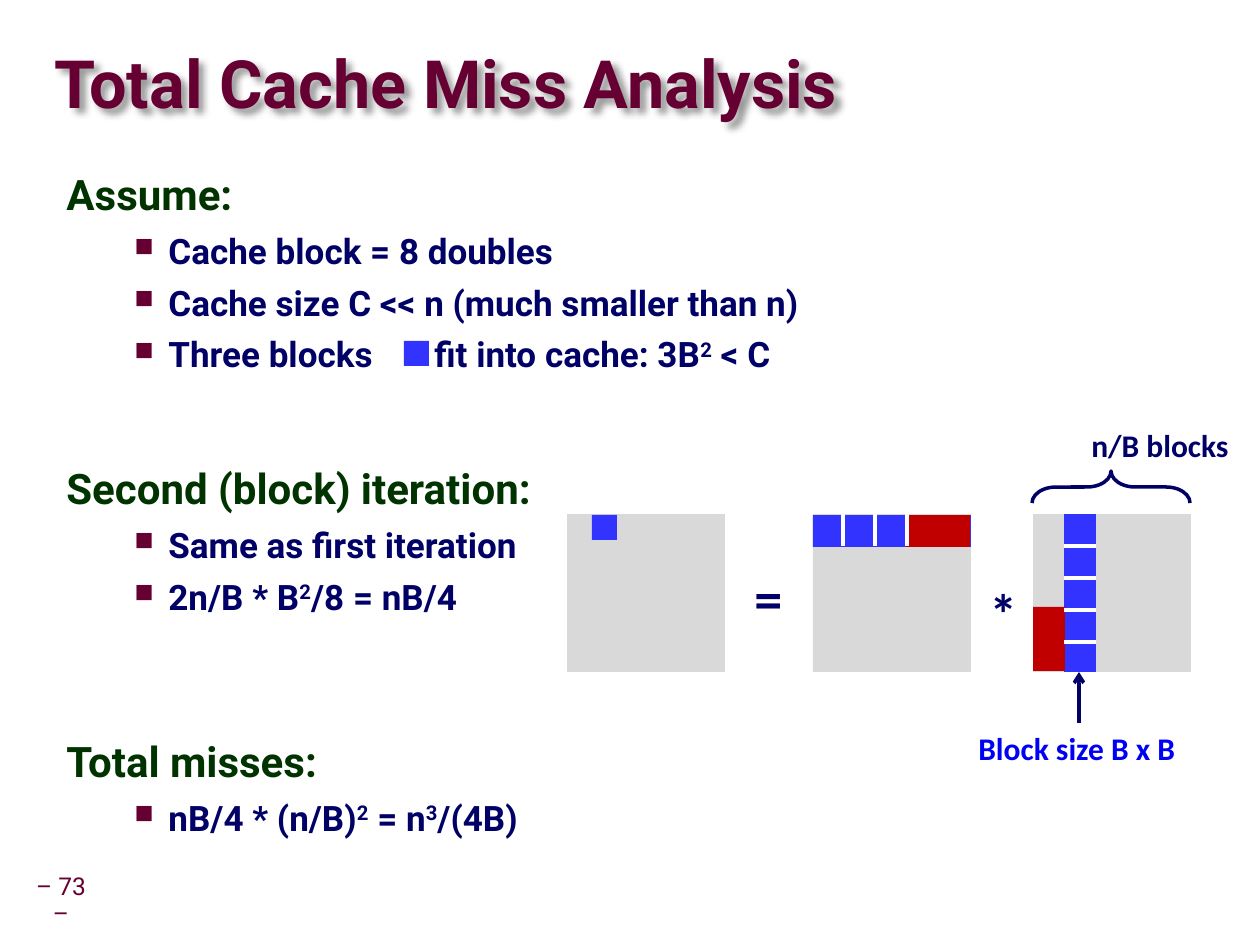
import pptx
import pptx.dml.color
import pptx.enum.shapes
import pptx.enum.text
import pptx.oxml
import pptx.oxml.ns
import pptx.util

PX = 914400 / 126
THEME = {
    "maroon": "660033", "green": "003300", "navy": "000066",
    "link": "0000F5", "block": "3333FF", "red": "C00000",
    "matrix": "D9D9D9", "white": "FFFFFF",
    "text font": "Roboto", "label font": "Calibri",
    "title size": 38, "heading size": 24, "item size": 20,
    "sign size": 32, "label size": 18, "number size": 14,
}
NS = pptx.oxml.ns.nsdecls("a")
SHAPE = pptx.enum.shapes.MSO_SHAPE
ALIGN = pptx.enum.text.PP_ALIGN
ANCHOR = pptx.enum.text.MSO_ANCHOR


def px(*lengths):
    return [round(length * PX) for length in lengths]


def style(font, face, size, colour, bold=True):
    font.name = THEME[face]
    font.size = pptx.util.Pt(THEME[size])
    font.bold = bold
    font.color.rgb = pptx.dml.color.RGBColor.from_string(THEME[colour])


deck = pptx.Presentation()
deck.slide_width, deck.slide_height = px(1260, 945)
page = deck.slides.add_slide(deck.slide_layouts[6])

# Title and page number
for words, place, size, bold, align, spacing in [
    ("– 73 –", (33, 875, 56, 52), "number size", False, ALIGN.CENTER, 0.9),
    ("Total Cache Miss Analysis", (55, 34, 1200, 107), "title size", True, ALIGN.LEFT, 0.87),
]:
    box = page.shapes.add_textbox(*px(*place))
    frame = box.text_frame
    frame.word_wrap = True
    frame.vertical_anchor = ANCHOR.MIDDLE
    frame.margin_left = frame.margin_right = frame.margin_top = frame.margin_bottom = 0
    frame.text = words
    para = frame.paragraphs[0]
    para.alignment = align
    para.line_spacing = spacing
    style(para.runs[0].font, "text font", size, "maroon", bold)
title = box
title._element.spPr.append(pptx.oxml.parse_xml(
    f'<a:effectLst {NS}><a:outerShdw blurRad="50800" dist="50800" dir="2700000">'
    '<a:srgbClr val="000000"><a:alpha val="40000"/></a:srgbClr></a:outerShdw></a:effectLst>'))

# Analysis: (space before heading in points, heading, items), ^ marks superscripts
SECTIONS = [
    (0, "Assume:", ["Cache block = 8 doubles",
                    "Cache size C << n (much smaller than n)",
                    "Three blocks\tfit into cache: 3B^2^ < C"]),
    (52, "Second (block) iteration:", ["Same as first iteration", "2n/B * B^2^/8 = nB/4"]),
    (69.5, "Total misses:", ["nB/4 * (n/B)^2^ = n^3^/(4B)"]),
]
box = page.shapes.add_textbox(*px(54, 166, 1089, 736))
frame = box.text_frame
frame.word_wrap = True
for gap, heading, items in SECTIONS:
    para = frame.add_paragraph() if gap else frame.paragraphs[0]
    para.text = heading
    para.line_spacing = 0.95
    if gap:
        para.space_before = pptx.util.Pt(gap)
    style(para.runs[0].font, "text font", "heading size", "green")
    for item in items:
        para = frame.add_paragraph()
        para.level = 1
        props = para._p.get_or_add_pPr()
        margin, hang, tab = px(102, 34, 368)
        props.set("marL", str(margin))
        props.set("indent", str(-hang))
        for xml in [
            f'<a:buClr {NS}><a:srgbClr val="{THEME["maroon"]}"/></a:buClr>',
            f'<a:buSzPct {NS} val="75000"/>',
            f'<a:buChar {NS} char="■"/>',
            f'<a:tabLst {NS}><a:tab pos="{tab}" algn="l"/></a:tabLst>',
        ]:
            props.append(pptx.oxml.parse_xml(xml))
        para.space_before = pptx.util.Pt(5.5)
        for index, words in enumerate(item.split("^")):
            span = para.add_run()
            span.text = words
            style(span.font, "text font", "item size", "navy")
            if index % 2:
                span._r.get_or_add_rPr().set("baseline", "30000")

# Matrices and their blocks
TOP, SIDE, BLOCK = 514, 158, 32
RESULT, LEFT, RIGHT = 567, 813, 1033
COLUMN = RIGHT + BLOCK - 1
for place, colour in [
    ((RESULT, TOP, SIDE, SIDE), "matrix"),
    ((LEFT, TOP, SIDE, SIDE), "matrix"),
    ((RIGHT, TOP, SIDE, SIDE), "matrix"),
    ((592, 515, 25, 25), "block"),
    ((404, 341, 25, 25), "block"),
    ((LEFT, 515, SIDE, BLOCK), "block"),
    ((COLUMN, TOP, BLOCK, SIDE), "block"),
    ((906, 515, 64, BLOCK), "red"),
    ((RIGHT, 607, BLOCK, 64), "red"),
]:
    rect = page.shapes.add_shape(SHAPE.RECTANGLE, *px(*place))
    rect.shadow.inherit = False
    rect.fill.solid()
    rect.fill.fore_color.rgb = pptx.dml.color.RGBColor.from_string(THEME[colour])
    rect.line.fill.background()

# Block dividers, and the arrow to the block column
lines = [((1079, 723, 1079, 672), "navy")]
for step in range(1, 5):
    y = TOP + step * BLOCK
    lines.append(((COLUMN + BLOCK, y, COLUMN, y), "white"))
    if step < 4:
        x = LEFT - 2 + step * BLOCK
        lines.append(((x, TOP, x, TOP + BLOCK), "white"))
for ends, colour in lines:
    line = page.shapes.add_connector(pptx.enum.shapes.MSO_CONNECTOR.STRAIGHT, *px(*ends))
    line.line.width = pptx.util.Pt(2)
    line.line.color.rgb = pptx.dml.color.RGBColor.from_string(THEME[colour])
    line._element.spPr.append(pptx.oxml.parse_xml(f"<a:effectLst {NS}/>"))
    if colour == "navy":
        line.line._get_or_add_ln().append(
            pptx.oxml.parse_xml(f'<a:tailEnd {NS} type="arrow"/>'))

brace = page.shapes.add_shape(SHAPE.LEFT_BRACE, *px(1095, 408, 32, SIDE))
brace.rotation = 90
brace.adjustments[0] = 0.75
brace.adjustments[1] = 0.5
brace.shadow.inherit = False
brace.fill.background()
brace.line.width = pptx.util.Pt(2)
brace.line.color.rgb = pptx.dml.color.RGBColor.from_string(THEME["navy"])

# Signs and labels
for words, place, size, colour in [
    ("=", (742, 557, 54, 81), "sign size", "navy"),
    ("*", (977, 572, 54, 81), "sign size", "navy"),
    ("n/B blocks", (1079, 420, 164, 50), "label size", "navy"),
    ("Block size B x B", (966, 723, 224, 50), "label size", "link"),
]:
    box = page.shapes.add_textbox(*px(*place))
    box.text_frame.word_wrap = False
    box.text_frame.text = words
    style(box.text_frame.paragraphs[0].runs[0].font, "label font", size, colour)

deck.save("out.pptx")
